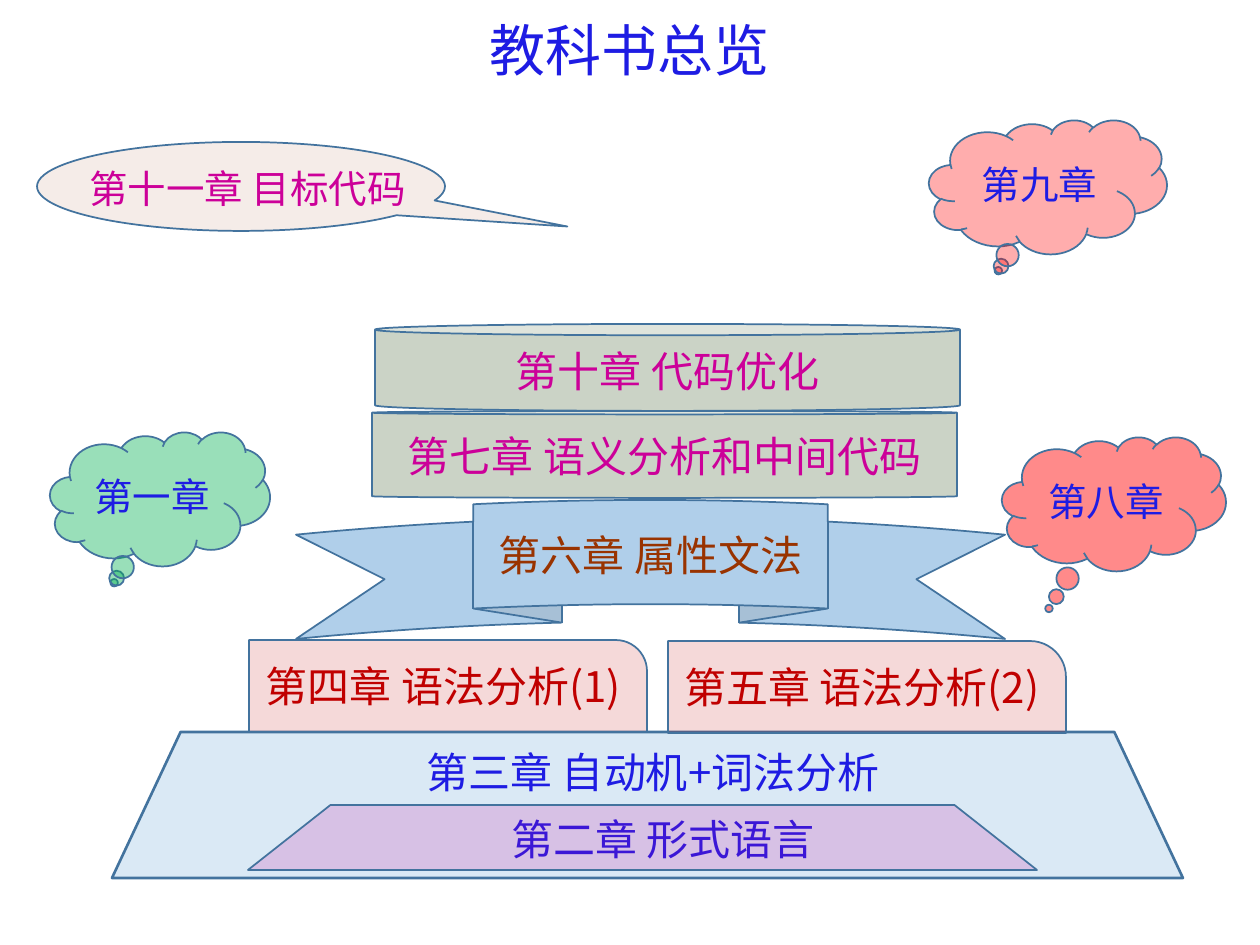
from lxml.etree import SubElement
from pptx import Presentation
from pptx.dml.color import RGBColor
from pptx.enum.shapes import MSO_SHAPE
from pptx.enum.text import MSO_ANCHOR, MSO_AUTO_SIZE, PP_ALIGN
from pptx.oxml.ns import qn
from pptx.util import Pt

PX = 914400 / 126
FONT = "Noto Sans CJK SC"
BLUE = RGBColor(0x1E, 0x1C, 0xE3)
MAGENTA = RGBColor(0xCC, 0x00, 0x99)
BROWN = RGBColor(0x99, 0x33, 0x00)
DARK_RED = RGBColor(0xC0, 0x00, 0x00)
RED = RGBColor(0xFF, 0x00, 0x00)
GREEN = RGBColor(0x00, 0xB0, 0x50)
OLIVE = RGBColor(0x38, 0x57, 0x23)
SKY = RGBColor(0x5B, 0x9B, 0xD5)
OUTLINE = RGBColor(0x43, 0x73, 0x9E)


def emu(*lengths):
    """Turn px lengths into EMU."""
    return [round(n * PX) for n in lengths]


def write(sp, text, size, color):
    """Put one centred line of text in the middle of a shape."""
    tf = sp.text_frame
    tf.word_wrap = True
    tf.vertical_anchor = MSO_ANCHOR.MIDDLE
    tf.text = text
    p = tf.paragraphs[0]
    p.alignment = PP_ALIGN.CENTER
    p.font.size = Pt(size)
    p.font.name = FONT
    p.font.color.rgb = color
    props = p._p.pPr.find(qn("a:defRPr"))
    SubElement(props, qn("a:ea")).set("typeface", FONT)
    return p


def add_shape(s, kind, box, color, opacity, adjust=(), width=1):
    """Add an outlined shape with a translucent fill."""
    sp = s.shapes.add_shape(kind, *emu(*box))
    sp.shadow.inherit = False
    for i, value in enumerate(adjust):
        sp.adjustments[i] = value
    sp.fill.solid()
    sp.fill.fore_color.rgb = color
    clr = sp.fill._xPr.find(qn("a:solidFill"))[0]
    SubElement(clr, qn("a:alpha")).set("val", str(opacity * 1000))
    sp.line.color.rgb = OUTLINE
    sp.line.width = Pt(width)
    return sp


def add_label(s, box, text, size, color):
    """Add a text box with one centred line."""
    return write(s.shapes.add_textbox(*emu(*box)), text, size, color)


def add_title(s, box, text):
    """Place the slide title."""
    sp = s.shapes.title
    sp.left, sp.top, sp.width, sp.height = emu(*box)
    p = write(sp, text, 32, BLUE)
    p.line_spacing = 0.9
    sp.text_frame.auto_size = MSO_AUTO_SIZE.NONE


def add_target_code(s, x, y, w, h):
    """Draw the speech balloon with its wider label."""
    add_shape(s, MSO_SHAPE.OVAL_CALLOUT, (x, y, w, h), BROWN, 9, (0.8, 0.45))
    add_label(s, (x - 18, y + 13, w + 49, h - 22), "第十一章 目标代码", 22, MAGENTA)


def add_foundation(s, x, y, w, h):
    """Draw the base trapezoid with the smaller one inside it."""
    add_shape(s, MSO_SHAPE.TRAPEZOID, (x, y, w, h), SKY, 22, (0.47,), 1.5)
    for box, text in [
        ((x + 226, y + 1, 630, 77), "第三章 自动机+词法分析"),
        ((x + 352, y + 64, 398, 86), "第二章 形式语言"),
    ]:
        add_label(s, box, text, 24, BLUE).space_after = Pt(12)
    inner = (x + 136, y + 73, w - 282, h - 81)
    add_shape(s, MSO_SHAPE.TRAPEZOID, inner, MAGENTA, 17, (1.27,))


def add_parsing(s, x, y, w, h):
    """Draw the two syntax analysis blocks side by side."""
    gap = 21
    block = (w - gap) // 2
    for i, (text, corner) in enumerate(
        [("第四章 语法分析(1)", 0.34), ("第五章 语法分析(2)", 0.39)]
    ):
        box = (x + i * (block + gap), y + i, block, h)
        sp = add_shape(s, MSO_SHAPE.ROUND_1_RECTANGLE, box, DARK_RED, 15, (corner,))
        write(sp, text, 24, DARK_RED)


def add_attribute_grammar(s, x, y, w, h):
    """Draw the ribbon above the parsing blocks."""
    sp = add_shape(s, MSO_SHAPE.CURVED_UP_RIBBON, (x, y, w, h), SKY, 48)
    write(sp, "第六章 属性文法", 24, BROWN)


def add_code_drums(s, x, y, w, h):
    """Stack the two drums, the lower one first."""
    half = h // 2
    for dx, dy, text, lid in [
        (0, half, "第七章 语义分析和中间代码", 0.04),
        (3, 0, "第十章 代码优化", 0.13),
    ]:
        sp = add_shape(s, MSO_SHAPE.CAN, (x + dx, y + dy, w, half), OLIVE, 26, (lid,))
        write(sp, text, 24, MAGENTA)


def add_cloud(s, box, text, color, opacity, tail=()):
    """Draw a thought cloud naming a chapter."""
    sp = add_shape(s, MSO_SHAPE.CLOUD_CALLOUT, box, color, opacity, tail)
    write(sp, text, 22, BLUE)


def main():
    """Build the slide."""
    prs = Presentation()
    prs.slide_width, prs.slide_height = emu(1260, 945)
    s = prs.slides.add_slide(prs.slide_layouts[5])
    add_target_code(s, 37, 142, 408, 89)
    add_title(s, (87, 16, 1086, 74), "教科书总览")
    add_foundation(s, 112, 732, 1071, 146)
    add_parsing(s, 249, 640, 817, 92)
    add_attribute_grammar(s, 296, 500, 709, 139)
    add_code_drums(s, 372, 324, 585, 174)
    add_cloud(s, (929, 120, 238, 134), "第九章", RED, 32)
    add_cloud(s, (1002, 437, 224, 134), "第八章", RED, 46, (-0.29, 0.78))
    add_cloud(s, (50, 432, 220, 134), "第一章", GREEN, 40)
    prs.save("out.pptx")


if __name__ == "__main__":
    main()
